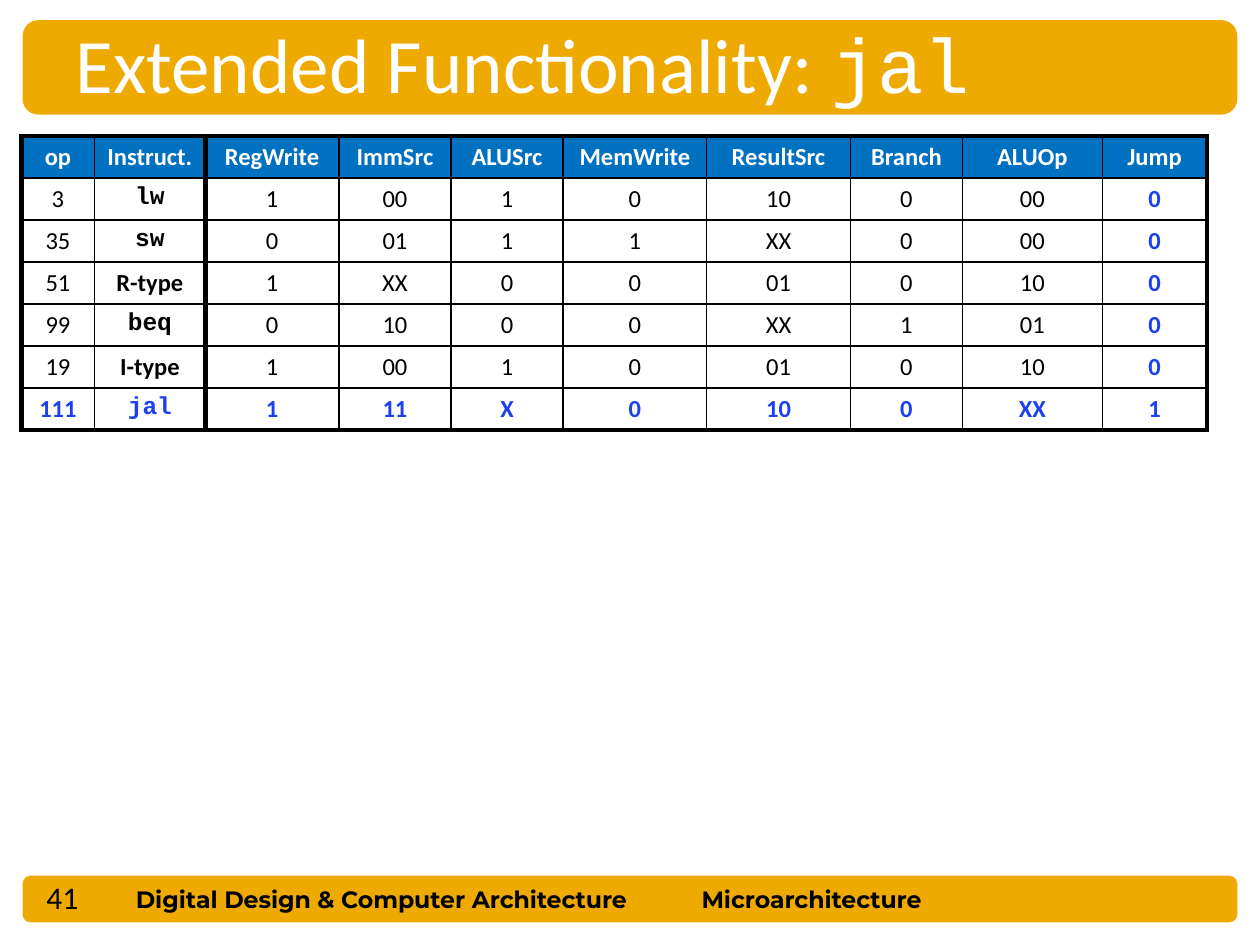
from lxml.etree import SubElement
from pptx import Presentation
from pptx.dml.color import RGBColor
from pptx.enum.shapes import MSO_SHAPE
from pptx.enum.text import MSO_ANCHOR, MSO_AUTO_SIZE, PP_ALIGN
from pptx.oxml.ns import qn
from pptx.util import Inches, Pt

GOLD = RGBColor(0xEE, 0xAA, 0x00)
HEADER_BLUE = RGBColor(0x00, 0x70, 0xC0)
NEW_BLUE = RGBColor(0x1D, 0x40, 0xEF)
BLACK = RGBColor(0, 0, 0)
WHITE = RGBColor(255, 255, 255)
BODY, CODE, FOOTER = "Calibri", "Courier New", "Montserrat"

deck = Presentation()
deck.slide_width, deck.slide_height = Inches(10), Inches(7.5)
page = deck.slides.add_slide(deck.slide_layouts[5])


def area(left, top, width, height):
    """Turn percentages of the slide into left, top, width and height."""
    return (int(deck.slide_width * left / 100), int(deck.slide_height * top / 100),
            int(deck.slide_width * width / 100), int(deck.slide_height * height / 100))


def add_span(para, text, color, **formats):
    span = para.add_run()
    span.text = text
    span.font.color.rgb = color
    for name, value in formats.items():
        setattr(span.font, name, value)


# Title and footer bars
for top, height in ((92.67, 4.93), (2.13, 10)):
    bar = page.shapes.add_shape(MSO_SHAPE.ROUNDED_RECTANGLE, *area(1.8, top, 96.4, height))
    bar.shadow.inherit = False
    bar.fill.solid()
    bar.fill.fore_color.rgb = GOLD
    bar.line.fill.background()

# Title, brought in front of its bar
title = page.shapes.title
page.shapes.element.append(title.element)
title.left, title.top, title.width, title.height = area(5, 1.07, 91.7, 11.2)
title_format = {"word_wrap": True, "auto_size": MSO_AUTO_SIZE.NONE,
                "vertical_anchor": MSO_ANCHOR.MIDDLE}
for name, value in title_format.items():
    setattr(title.text_frame, name, value)
para = title.text_frame.paragraphs[0]
para.alignment = PP_ALIGN.LEFT
for text, font in (("Extended Functionality: ", BODY), ("jal", CODE)):
    add_span(para, text, WHITE, name=font, size=Pt(44))

# Footer texts and page number
footers = (
    ("Digital Design & Computer Architecture", (9.8, 92.93, 42.4, 4.4), FOOTER, 13.5, True),
    ("Microarchitecture", (54.7, 92.93, 29.4, 4.4), FOOTER, 13.5, True),
    ("41", (2.7, 92.27, 8.2, 5.2), BODY, 18, False),
)
for text, place, font, size, bold in footers:
    box = page.shapes.add_textbox(*area(*place))
    box.text_frame.word_wrap = True
    box.text_frame.vertical_anchor = MSO_ANCHOR.MIDDLE
    add_span(box.text_frame.paragraphs[0], text, BLACK, name=font, size=Pt(size), bold=bold)

# Control signal table
signals = (
    ("op", "Instruct.", "RegWrite", "ImmSrc", "ALUSrc", "MemWrite", "ResultSrc",
     "Branch", "ALUOp", "Jump"),
    ("3", "lw", "1", "00", "1", "0", "10", "0", "00", "0"),
    ("35", "sw", "0", "01", "1", "1", "XX", "0", "00", "0"),
    ("51", "R-type", "1", "XX", "0", "0", "01", "0", "10", "0"),
    ("99", "beq", "0", "10", "0", "0", "XX", "1", "01", "0"),
    ("19", "I-type", "1", "00", "1", "0", "01", "0", "10", "0"),
    ("111", "jal", "1", "11", "X", "0", "10", "0", "XX", "1"),
)
column_widths = (0.58, 0.88, 1.06, 0.89, 0.89, 1.14, 1.14, 0.89, 1.11, 0.83)
last_row, last_column = len(signals) - 1, len(column_widths) - 1
cell_format = {"margin_left": Inches(0.05), "margin_right": Inches(0.05),
               "margin_top": Inches(0.05), "margin_bottom": Inches(0.04),
               "vertical_anchor": MSO_ANCHOR.TOP}

table = page.shapes.add_table(len(signals), len(column_widths),
                              *area(1.7, 14.4, 94.1, 31.1)).table
table.first_row = table.horz_banding = False
for column, width in zip(table.columns, column_widths):
    column.width = Inches(width)

for r, row in enumerate(signals):
    for c, text in enumerate(row):
        cell = table.cell(r, c)
        for name, value in cell_format.items():
            setattr(cell, name, value)

        # Thick outer frame and thick line after the instruction names
        thick = {"a:lnL": c in (0, 2), "a:lnR": c in (1, last_column),
                 "a:lnT": r == 0, "a:lnB": r == last_row}
        for side, is_thick in thick.items():
            edge = SubElement(cell._tc.get_or_add_tcPr(), qn(side),
                              w=str(Pt(3 if is_thick else 1)))
            fill = SubElement(edge, qn("a:solidFill"))
            SubElement(fill, qn("a:srgbClr"), val=str(BLACK))

        if r == 0:
            cell.fill.solid()
            cell.fill.fore_color.rgb = HEADER_BLUE
        else:
            cell.fill.background()

        # The new row and column stand out in blue
        is_new = r == last_row or c == last_column
        color = WHITE if r == 0 else NEW_BLUE if is_new else BLACK
        font = CODE if text in ("lw", "sw", "beq", "jal") else BODY
        para = cell.text_frame.paragraphs[0]
        para.alignment = PP_ALIGN.CENTER
        add_span(para, text, color, name=font, size=Pt(14),
                 bold=r == 0 or c == 1 or is_new)

deck.save("out.pptx")
